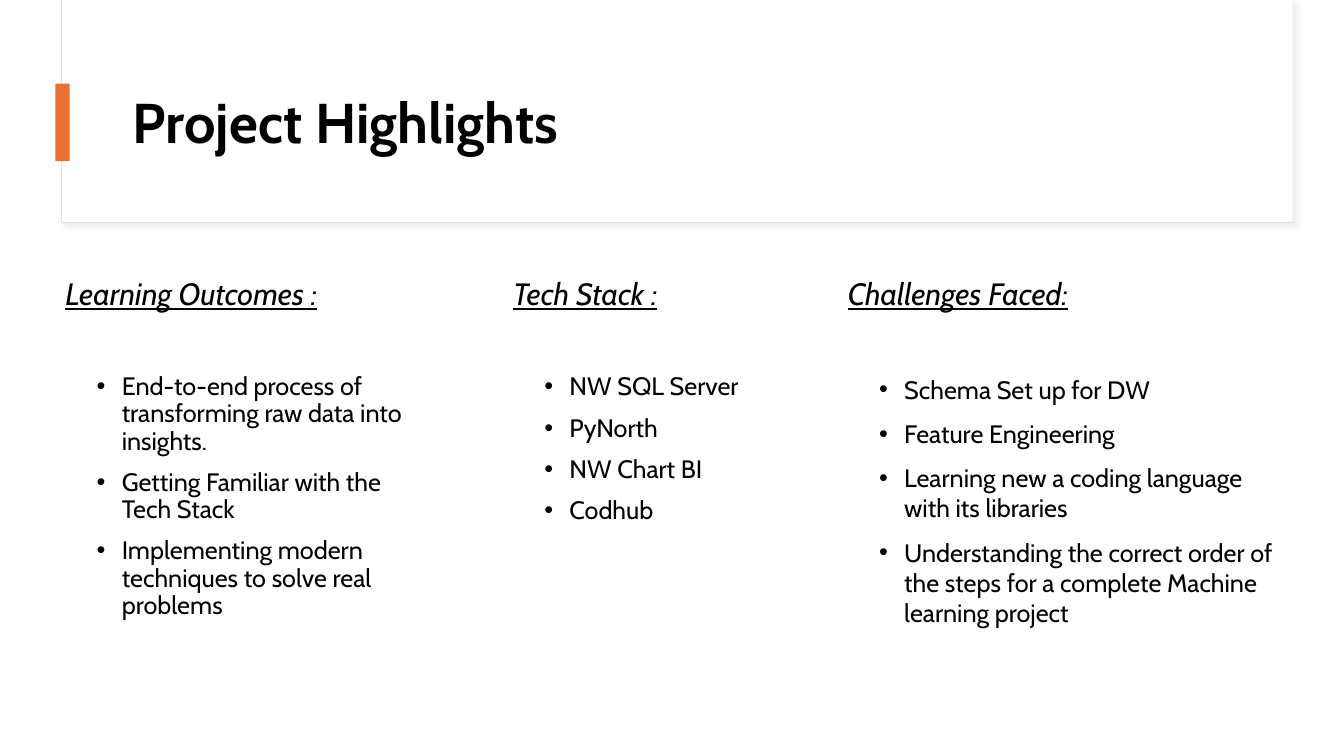
from lxml.etree import SubElement
from pptx import Presentation
from pptx.dml.color import RGBColor
from pptx.enum.shapes import MSO_SHAPE as Shape
from pptx.enum.text import MSO_ANCHOR as Anchor
from pptx.oxml.ns import qn
from pptx.util import Pt

PX = 9144
BLACK = RGBColor(0x00, 0x00, 0x00)
WHITE = RGBColor(0xFF, 0xFF, 0xFF)
ORANGE = RGBColor(0xE9, 0x71, 0x32)
BORDER = RGBColor(0xE1, 0xE1, 0xE1)
SHADOW = RGBColor(0xD9, 0xD9, 0xD9)

COLUMNS = [
    ((55, 272, 373, 404), "Learning Outcomes :", 0.9, [
        "End-to-end process of transforming raw data into insights.",
        "Getting Familiar with the Tech Stack",
        "Implementing modern techniques to solve real problems",
    ]),
    ((499, 272, 297, 309), "Tech Stack :", 0.9, [
        "NW SQL Server",
        "PyNorth",
        "NW Chart BI",
        "Codhub",
    ]),
    ((831, 272, 451, 388), "Challenges Faced:", 1.0, [
        "Schema Set up for DW",
        "Feature Engineering",
        "Learning new a coding language with its libraries",
        "Understanding the correct order of the steps for a complete Machine learning project",
    ]),
]


class HighlightsPage:
    """Draws the elements of one slide in a shared style."""

    font = "Cabin"
    title_size, heading_size, bullet_size = 40, 22, 18
    gap, list_gap = 10, 44
    indent, hang = 56, 25

    def __init__(self, deck):
        self.page = deck.slides.add_slide(deck.slide_layouts[6])

    def bar(self, place, fill, border=None):
        box = self.page.shapes.add_shape(Shape.RECTANGLE, *(n * PX for n in place))
        box.fill.solid()
        box.fill.fore_color.rgb = fill
        if border is None:
            box.line.fill.background()
        else:
            box.line.color.rgb = border
            box.line.width = Pt(0.75)
        box.shadow.inherit = False
        return box

    def cast_shadow(self, box, color, alpha, blur, distance, angle):
        effects = box._element.spPr.find(qn("a:effectLst"))
        outer = SubElement(effects, qn("a:outerShdw"), blurRad=str(Pt(blur)),
                           dist=str(Pt(distance)), dir=str(angle * 60000),
                           algn="tl", rotWithShape="0")
        tint = SubElement(outer, qn("a:srgbClr"), val=str(color))
        SubElement(tint, qn("a:alpha"), val=str(alpha * 1000))

    def text_frame(self, place, anchor=Anchor.TOP):
        box = self.page.shapes.add_textbox(*(n * PX for n in place))
        box.text_frame.word_wrap = True
        box.text_frame.vertical_anchor = anchor
        return box.text_frame

    def add_text(self, para, text, size, spacing=0.9, before=0,
                 bold=False, italic=False, underline=False):
        para.line_spacing = spacing
        para.space_before = Pt(before)
        span = para.add_run()
        span.text = text
        span.font.name = self.font
        span.font.size = Pt(size)
        span.font.color.rgb = BLACK
        span.font.bold = bold
        span.font.italic = italic
        span.font.underline = underline

    def title(self, place, text):
        frame = self.text_frame(place, Anchor.MIDDLE)
        self.add_text(frame.paragraphs[0], text, self.title_size, bold=True)

    def bullet(self, para):
        props = para._p.get_or_add_pPr()
        props.set("marL", str(self.indent * PX))
        props.set("indent", str(-self.hang * PX))
        SubElement(props, qn("a:buFont"), typeface="Arial")
        SubElement(props, qn("a:buChar"), char="•")

    def column(self, place, heading, spacing, items):
        frame = self.text_frame(place)
        self.add_text(frame.paragraphs[0], heading, self.heading_size,
                      before=self.gap, italic=True, underline=True)
        for index, item in enumerate(items):
            para = frame.add_paragraph()
            before = self.gap if index else self.list_gap
            self.add_text(para, item, self.bullet_size, spacing, before)
            self.bullet(para)


def main():
    deck = Presentation()
    deck.slide_width, deck.slide_height = 1333 * PX, 750 * PX
    page = HighlightsPage(deck)
    header = page.bar((61, 0, 1221, 221), WHITE, BORDER)
    page.cast_shadow(header, SHADOW, alpha=50, blur=4, distance=3, angle=45)
    page.bar((62, 0, 1220, 220), WHITE)
    page.title((122, 60, 1112, 129), "Project Highlights")
    page.bar((55, 83, 14, 77), ORANGE)
    for column in COLUMNS:
        page.column(*column)
    deck.save("out.pptx")


if __name__ == "__main__":
    main()
